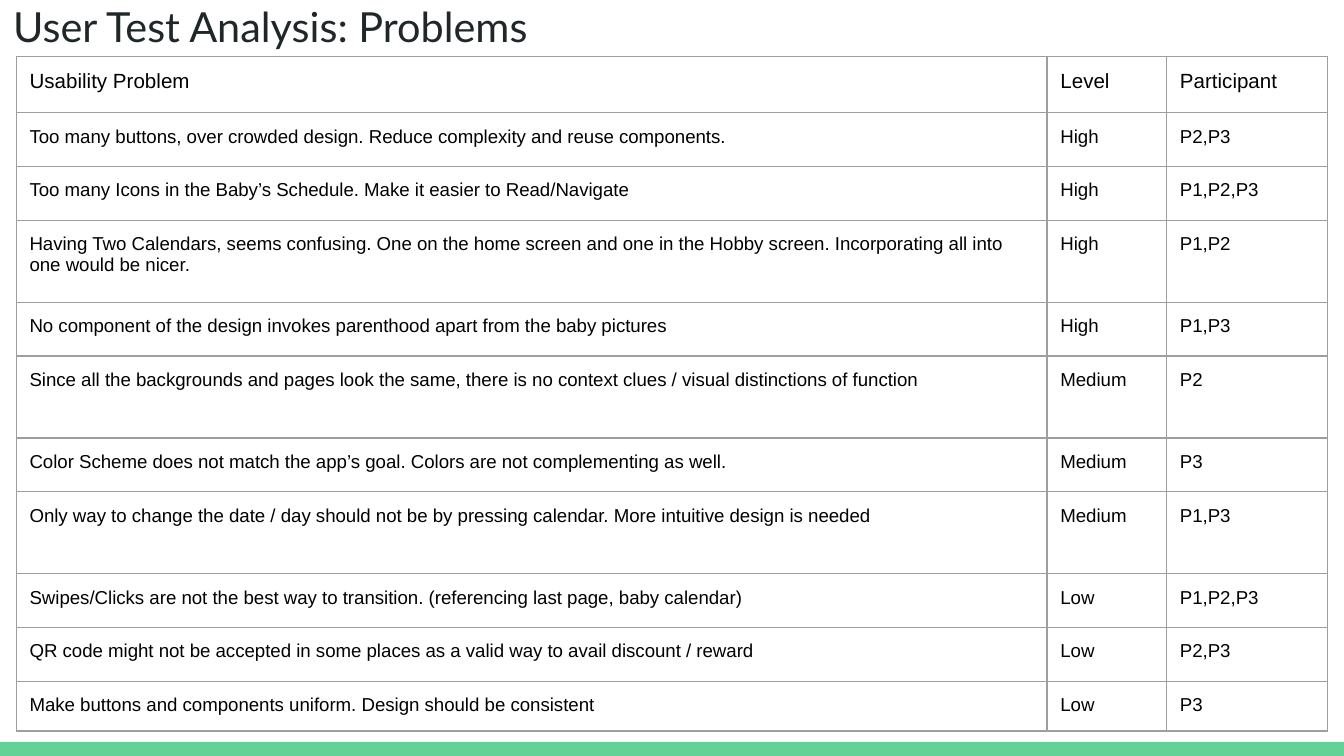
from lxml import etree
from pptx import Presentation
from pptx.dml.color import RGBColor as Color
from pptx.enum.shapes import MSO_SHAPE as Shape
from pptx.enum.text import MSO_ANCHOR as Anchor
from pptx.oxml.ns import qn
from pptx.util import Inches, Pt

# Content
TITLE = "User Test Analysis: Problems"
HEADER = ("Usability Problem", "Level", "Participant")
PROBLEMS = [
    ("Too many buttons, over crowded design. Reduce complexity and reuse components.", "High", "P2,P3"),
    ("Too many Icons in the Baby’s Schedule. Make it easier to Read/Navigate", "High", "P1,P2,P3"),
    ("Having Two Calendars, seems confusing. One on the home screen and one in the Hobby screen. "
     "Incorporating all into one would be nicer.", "High", "P1,P2"),
    ("No component of the design invokes parenthood apart from the baby pictures", "High", "P1,P3"),
    ("Since all the backgrounds and pages look the same, there is no context clues / "
     "visual distinctions of function", "Medium", "P2"),
    ("Color Scheme does not match the app’s goal. Colors are not complementing as well.", "Medium", "P3"),
    ("Only way to change the date / day should not be by pressing calendar. "
     "More intuitive design is needed", "Medium", "P1,P3"),
    ("Swipes/Clicks are not the best way to transition. (referencing last page, baby calendar)",
     "Low", "P1,P2,P3"),
    ("QR code might not be accepted in some places as a valid way to avail discount / reward",
     "Low", "P2,P3"),
    ("Make buttons and components uniform. Design should be consistent", "Low", "P3"),
]

# Layout, in inches; the page is 16:9
WIDTH = 10
HEIGHT = WIDTH * 9 / 16
BAR_TOP = 5.52
TABLE_LEFT, TABLE_TOP = 0.12, 0.42
COLUMNS = (7.67, 0.89, 1.2)
HEADER_ROW, SHORT_ROW, TALL_ROW, LAST_ROW = 0.42, 0.4, 0.61, 0.37
TALL_PROBLEMS = (2, 4, 6)
INSET = 0.1

THEME = {
    "title": ("Lato", 22.2, "202729"),
    "header": ("Arial", 11, "000000"),
    "body": ("Arial", 10, "000000"),
    "bar": "63D297",
    "border": "9E9E9E",
    "border_width": 0.75,
}


def write(frame, text, style):
    para = frame.paragraphs[0]
    para.text = text
    name, size, color = THEME[style]
    para.font.name = name
    para.font.size = Pt(size)
    para.font.color.rgb = Color.from_string(color)


def set_insets(item):
    item.margin_left = item.margin_right = Inches(INSET)
    item.margin_top = item.margin_bottom = Inches(INSET)


def add_borders(cell):
    props = cell._tc.get_or_add_tcPr()
    for position, side in enumerate(("lnL", "lnR", "lnT", "lnB")):
        line = etree.Element(qn(f"a:{side}"), w=str(Pt(THEME["border_width"])))
        fill = etree.SubElement(line, qn("a:solidFill"))
        etree.SubElement(fill, qn("a:srgbClr"), val=THEME["border"])
        props.insert(position, line)


def row_height(problem):
    if problem == len(PROBLEMS) - 1:
        return LAST_ROW
    return TALL_ROW if problem in TALL_PROBLEMS else SHORT_ROW


deck = Presentation()
deck.slide_width, deck.slide_height = Inches(WIDTH), Inches(HEIGHT)
page = deck.slides.add_slide(deck.slide_layouts[6])

# Bottom bar
bar = page.shapes.add_shape(Shape.RECTANGLE, 0, Inches(BAR_TOP),
                            Inches(WIDTH), Inches(HEIGHT - BAR_TOP))
bar.shadow.inherit = False
bar.fill.solid()
bar.fill.fore_color.rgb = Color.from_string(THEME["bar"])
bar.line.fill.background()

# Title
box = page.shapes.add_textbox(0, Inches(-0.09), Inches(9.32), Inches(0.63))
box.text_frame.word_wrap = True
box.text_frame.vertical_anchor = Anchor.TOP
set_insets(box.text_frame)
write(box.text_frame, TITLE, "title")

# Problem table
heights = [HEADER_ROW] + [row_height(i) for i in range(len(PROBLEMS))]
table = page.shapes.add_table(len(heights), len(COLUMNS), Inches(TABLE_LEFT), Inches(TABLE_TOP),
                              Inches(sum(COLUMNS)), Inches(sum(heights))).table
table.first_row = table.horz_banding = False
for column, width in zip(table.columns, COLUMNS):
    column.width = Inches(width)
for index, (row, height, texts) in enumerate(zip(table.rows, heights, [HEADER] + PROBLEMS)):
    row.height = Inches(height)
    for cell, text in zip(row.cells, texts):
        write(cell.text_frame, text, "body" if index else "header")
        set_insets(cell)
        cell.fill.background()
        add_borders(cell)

deck.save("out.pptx")
